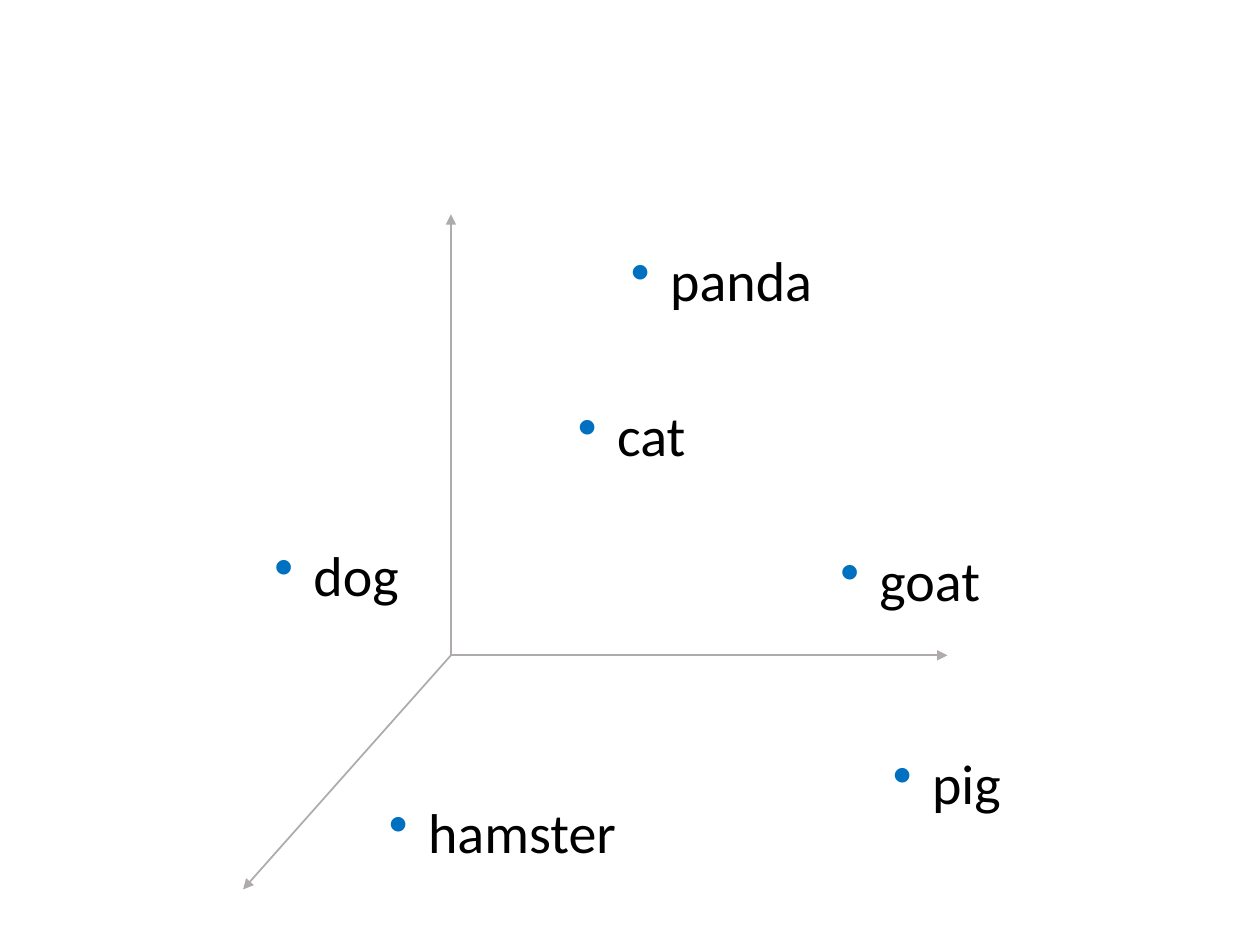
import dataclasses

import lxml.etree
import pptx
import pptx.dml.color
import pptx.enum.shapes
import pptx.enum.text
import pptx.oxml.ns
import pptx.slide
import pptx.util

Cm = pptx.util.Cm
qn = pptx.oxml.ns.qn


@dataclasses.dataclass(frozen=True)
class Theme:
    font: str = "Calibri"
    size: float = 32
    ink: str = "000000"
    dot: str = "0070C0"
    axis: str = "AFABAB"
    line: float = 1


@dataclasses.dataclass(frozen=True)
class Point:
    x: float
    y: float


@dataclasses.dataclass(frozen=True)
class Word:
    text: str
    left: float
    top: float
    width: float


THEME = Theme()
HIGH = 1.63
INDENT = Cm(0.79)

# Lengths in centimetres
ORIGIN = Point(9.09, 13.21)
TIPS = [Point(ORIGIN.x, 4.32), Point(4.9, 17.93), Point(19.1, ORIGIN.y)]
WORDS = [
    Word("cat", 11.4, 7.95, 2.72),
    Word("dog", 5.28, 10.77, 3.05),
    Word("goat", 16.69, 10.87, 3.38),
    Word("hamster", 7.59, 15.95, 5.13),
    Word("pig", 17.75, 14.96, 2.72),
    Word("panda", 12.47, 4.83, 4.22),
]


def set_all(item: object, values: dict) -> None:
    for name, value in values.items():
        setattr(item, name, value)


def rgb(code: str) -> pptx.dml.color.RGBColor:
    return pptx.dml.color.RGBColor.from_string(code)


def add_axis(slide: pptx.slide.Slide, start: Point, tip: Point) -> None:
    axis = slide.shapes.add_connector(
        pptx.enum.shapes.MSO_CONNECTOR.STRAIGHT,
        Cm(start.x), Cm(start.y), Cm(tip.x), Cm(tip.y),
    )
    axis.line.width = pptx.util.Pt(THEME.line)
    axis.line.color.rgb = rgb(THEME.axis)
    # Arrowhead at the tip, no shadow
    props = axis.line._get_or_add_ln()
    lxml.etree.SubElement(props, qn("a:tailEnd"), type="triangle")
    lxml.etree.SubElement(props.getparent(), qn("a:effectLst"))


def add_word(slide: pptx.slide.Slide, word: Word) -> None:
    box = slide.shapes.add_textbox(
        Cm(word.left), Cm(word.top), Cm(word.width), Cm(HIGH)
    )
    set_all(box.text_frame, {
        "word_wrap": False,
        "auto_size": pptx.enum.text.MSO_AUTO_SIZE.SHAPE_TO_FIT_TEXT,
    })
    para = box.text_frame.paragraphs[0]
    # The bullet marks the point
    props = para._p.get_or_add_pPr()
    set_all(props, {"marL": INDENT, "indent": -INDENT})
    props.set("marL", str(INDENT))
    props.set("indent", str(-INDENT))
    paint = lxml.etree.SubElement(props, qn("a:buClr"))
    lxml.etree.SubElement(paint, qn("a:srgbClr"), val=THEME.dot)
    lxml.etree.SubElement(props, qn("a:buChar"), char="•")
    run = para.add_run()
    run.text = word.text
    set_all(run.font, {"name": THEME.font, "size": pptx.util.Pt(THEME.size)})
    run.font.color.rgb = rgb(THEME.ink)


def main() -> None:
    deck = pptx.Presentation()
    set_all(deck, {"slide_width": Cm(25.4), "slide_height": Cm(19.05)})
    slide = deck.slides.add_slide(deck.slide_layouts[6])

    # Axes of the space
    for tip in TIPS:
        add_axis(slide, ORIGIN, tip)

    # Words placed in the space
    for word in WORDS:
        add_word(slide, word)

    deck.save("out.pptx")


if __name__ == "__main__":
    main()
